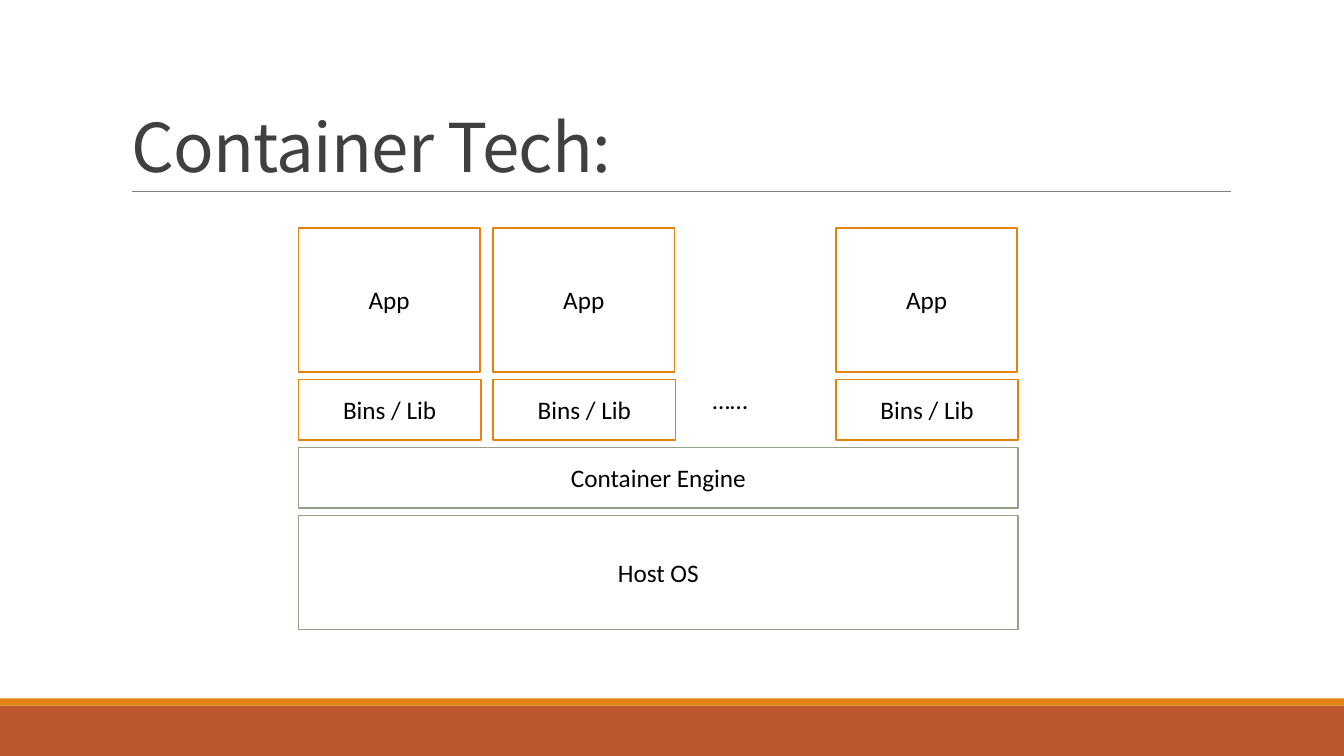
from lxml import etree
from pptx import Presentation
from pptx.dml.color import RGBColor
from pptx.enum.shapes import MSO_CONNECTOR, MSO_SHAPE
from pptx.enum.text import MSO_ANCHOR, MSO_AUTO_SIZE, PP_ALIGN
from pptx.oxml.ns import qn
from pptx.util import Inches, Pt

RECTANGLE = MSO_SHAPE.RECTANGLE
STRAIGHT = MSO_CONNECTOR.STRAIGHT
MIDDLE, BOTTOM = MSO_ANCHOR.MIDDLE, MSO_ANCHOR.BOTTOM
LEFT, CENTER = PP_ALIGN.LEFT, PP_ALIGN.CENTER
NO_FIT = MSO_AUTO_SIZE.NONE

COLORS = {"white": "FFFFFF", "black": "000000", "title": "404040", "rule": "808080",
          "orange": "E48312", "rust": "BD582C", "sage": "94A088"}
BODY = {"name": "Calibri", "size": Pt(18)}
HEADING = {"name": "Noto Sans CJK SC", "size": Pt(48)}


def add_box(left, top, width, height, fill, line=None):
    box = page.shapes.add_shape(RECTANGLE, *map(Inches, (left, top, width, height)))
    box.shadow.inherit = False
    box.fill.solid()
    box.fill.fore_color.rgb = RGBColor.from_string(COLORS[fill])
    if line:
        box.line.color.rgb = RGBColor.from_string(COLORS[line])
        box.line.width = Pt(1.25)
    else:
        box.line.fill.background()
    return box


def write(shape, text, font, color, align):
    para = shape.text_frame.paragraphs[0]
    para.alignment = align
    span = para.add_run()
    span.text = text
    for key, value in font.items():
        setattr(span.font, key, value)
    span.font.color.rgb = RGBColor.from_string(COLORS[color])
    return para


deck = Presentation()
deck.slide_width, deck.slide_height = Inches(13.33), Inches(7.5)
page = deck.slides.add_slide(deck.slide_layouts[5])

# Footer bands
add_box(0, 7, 13.33, 0.5, "rust")
add_box(0, 6.93, 13.33, 0.07, "orange")

# Title and the rule below it
title = page.shapes.title
title.left, title.top, title.width, title.height = map(Inches, (1.2, 0.31, 11, 1.59))
title.text_frame.vertical_anchor = BOTTOM
title.text_frame.auto_size = NO_FIT
heading = write(title, "Container Tech:", HEADING, "title", LEFT)
heading.line_spacing = 0.85
heading.runs[0].font._element.set("spc", "-50")

rule = page.shapes.add_connector(STRAIGHT, *map(Inches, (1.31, 1.9, 12.21, 1.9)))
rule.line.color.rgb = RGBColor.from_string(COLORS["rule"])
rule.line.width = Pt(0.5)
etree.SubElement(rule._element.spPr, qn("a:effectLst"))

# Stack layers from top to bottom: text, height, box width, left edges, line
stack_left, stack_top, stack_width, gap = 2.96, 2.26, 7.14, 0.075
columns = [stack_left, 4.89, 8.29]
layers = [
    ("App", 1.43, 1.8, columns, "orange"),
    ("Bins / Lib", 0.6, 1.81, columns, "orange"),
    ("Container Engine", 0.6, stack_width, [stack_left], "sage"),
    ("Host OS", 1.13, stack_width, [stack_left], "sage"),
]
top = stack_top
for text, height, width, lefts, line in layers:
    for left in lefts:
        box = add_box(left, top, width, height, "white", line)
        box.text_frame.vertical_anchor = MIDDLE
        write(box, text, BODY, "black", CENTER)
    top += height + gap

# Ellipsis for the containers in between
ellipsis = page.shapes.add_textbox(*map(Inches, (6.97, 3.76, 0.56, 0.4)))
ellipsis.text_frame.word_wrap = False
write(ellipsis, "……", BODY, "black", LEFT)

deck.save("out.pptx")
